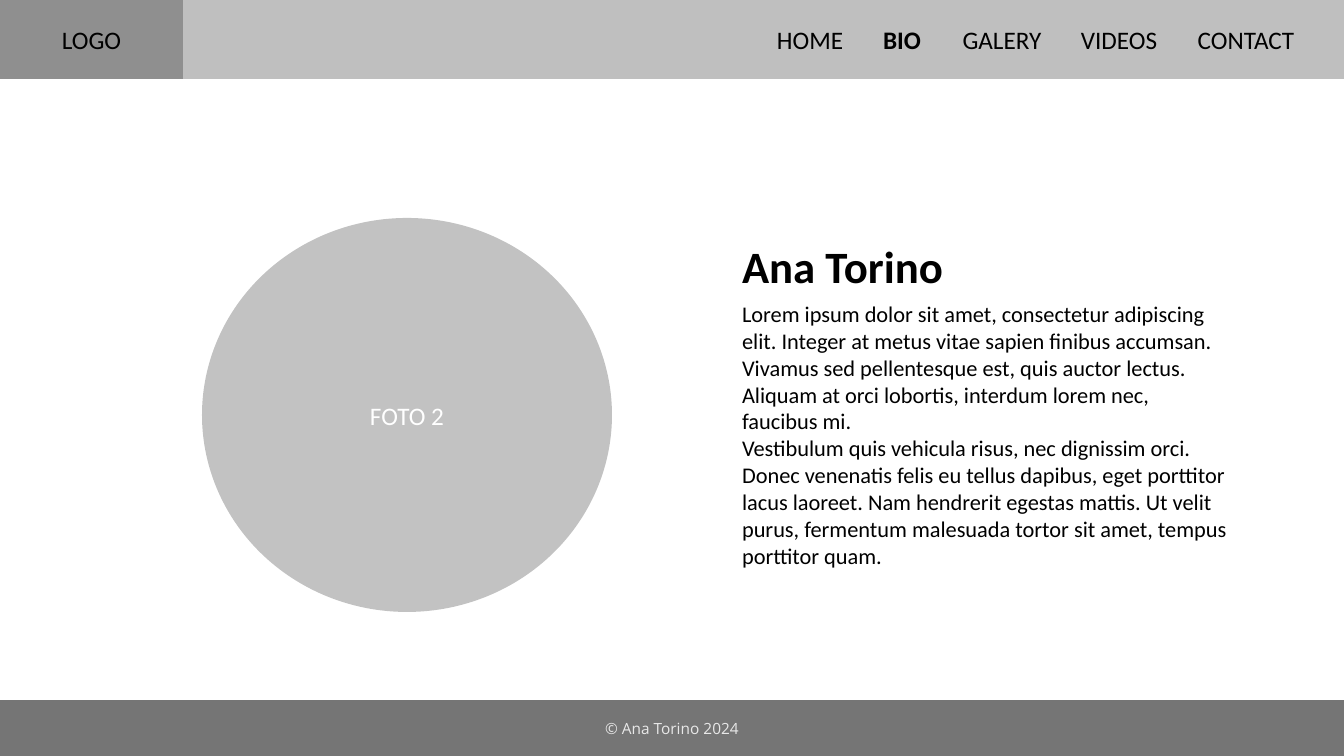
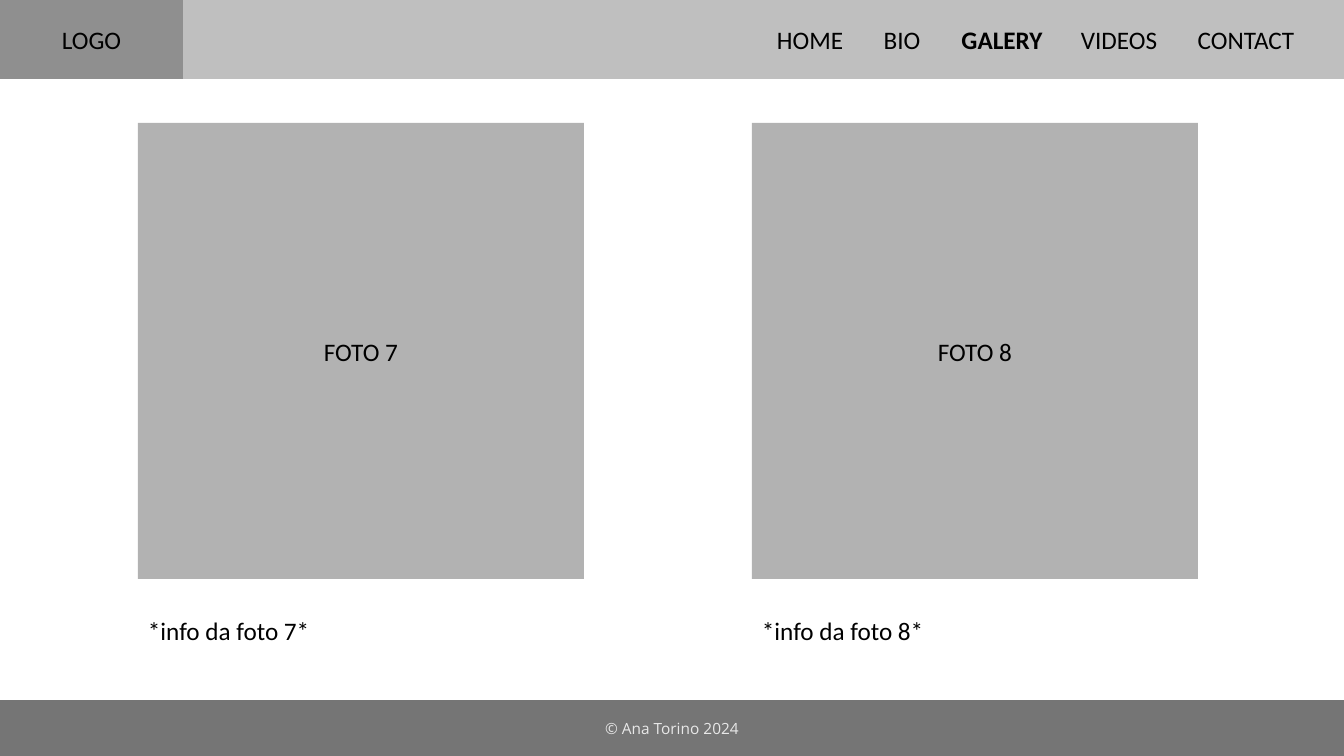
from lxml.etree import SubElement
from pptx import Presentation
from pptx.dml.color import RGBColor
from pptx.enum.shapes import MSO_SHAPE
from pptx.enum.text import MSO_ANCHOR, MSO_AUTO_SIZE, PP_ALIGN
from pptx.oxml.ns import qn
from pptx.util import Emu, Pt

SCALE = 914400 / 100.8
PAGE_WIDTH, PAGE_HEIGHT = 1344, 756
HEADER_HEIGHT, FOOTER_HEIGHT = 79, 56
LOGO_WIDTH = 183
COLORS = {"black": "000000", "white": "FFFFFF", "pale": "E8E8E8"}
MENU_CENTERS = {"HOME": 810, "BIO": 902, "GALERY": 1002, "VIDEOS": 1119, "CONTACT": 1246}
BIO_TEXT = (
    "Lorem ipsum dolor sit amet, consectetur adipiscing elit. Integer at metus vitae "
    "sapien finibus accumsan. Vivamus sed pellentesque est, quis auctor lectus. Aliquam "
    "at orci lobortis, interdum lorem nec, faucibus mi.\n"
    "Vestibulum quis vehicula risus, nec dignissim orci. Donec venenatis felis eu tellus "
    "dapibus, eget porttitor lacus laoreet. Nam hendrerit egestas mattis. Ut velit purus, "
    "fermentum malesuada tortor sit amet, tempus porttitor quam."
)


def px(length):
    return Emu(round(length * SCALE))


def write_text(shape, text, size=18, color="black", font="Calibri", strong="",
               align=PP_ALIGN.LEFT, anchor=MSO_ANCHOR.TOP, wrap=True):
    frame = shape.text_frame
    frame.word_wrap = wrap
    frame.auto_size = MSO_AUTO_SIZE.NONE
    frame.vertical_anchor = anchor
    for index, line in enumerate(text.split("\n")):
        para = frame.add_paragraph() if index else frame.paragraphs[0]
        para.alignment = align
        para.space_before = Pt(0)
        parts = line.partition(strong) if strong else (line,)
        for part in filter(None, parts):
            span = para.add_run()
            span.text = part
            span.font.name = font
            span.font.size = Pt(size)
            span.font.bold = part == strong
            span.font.color.rgb = RGBColor.from_string(COLORS[color])


def place(shape, box):
    shape.left, shape.top, shape.width, shape.height = map(px, box)
    return shape


def add_panel(page, box, opacity, kind=MSO_SHAPE.RECTANGLE):
    panel = page.shapes.add_shape(kind, *map(px, box))
    panel.shadow.inherit = False
    panel.line.fill.background()
    panel.fill.solid()
    panel.fill.fore_color.rgb = RGBColor.from_string(COLORS["black"])
    color = panel.fill._xPr.find(".//" + qn("a:srgbClr"))
    SubElement(color, qn("a:alpha"), val=str(opacity * 1000))
    return panel


def add_label_panel(page, box, opacity, text, kind=MSO_SHAPE.RECTANGLE, **style):
    panel = add_panel(page, box, opacity, kind)
    write_text(panel, text, align=PP_ALIGN.CENTER, anchor=MSO_ANCHOR.MIDDLE, **style)


def add_header(page, box, active):
    left, top, width, height = box
    band = add_panel(page, box, 25)
    band.text_frame.margin_left = band.text_frame.margin_right = 0
    menu = "".join("\t" + name for name in MENU_CENTERS)
    write_text(band, menu, strong=active, anchor=MSO_ANCHOR.MIDDLE)
    properties = band.text_frame.paragraphs[0]._p.get_or_add_pPr()
    tabs = SubElement(properties, qn("a:tabLst"))
    for center in MENU_CENTERS.values():
        SubElement(tabs, qn("a:tab"), pos=str(px(center)), algn="ctr")
    add_label_panel(page, (left, top, LOGO_WIDTH, height), 25, "LOGO")


def add_frame(page, active):
    add_header(page, (0, 0, PAGE_WIDTH, HEADER_HEIGHT), active)
    footer = (0, PAGE_HEIGHT - FOOTER_HEIGHT, PAGE_WIDTH, FOOTER_HEIGHT)
    add_label_panel(page, footer, 54, "© Ana Torino 2024",
                    size=11, color="pale", font="Open Sans")


def fill_biography(page, box):
    left, top, width, height = box
    title_height = 61
    title = place(page.shapes.title, (left, top, 222, 65))
    write_text(title, "Ana Torino", size=32, strong="Ana Torino", wrap=False)
    body = place(page.placeholders[1],
                 (left, top + title_height, width, height - title_height))
    write_text(body, BIO_TEXT, size=16)
    for para in body.text_frame.paragraphs:
        properties = para._p.get_or_add_pPr()
        properties.set("marL", "0")
        properties.set("indent", "0")
        SubElement(properties, qn("a:buNone"))


def add_photo_card(page, box, number):
    left, top, width, height = box
    caption_height = 40
    add_label_panel(page, (left, top, width, 456), 30, f"FOTO {number}")
    caption = page.shapes.add_textbox(
        *map(px, (left, top + height - caption_height, 243, caption_height)))
    write_text(caption, f"*info da foto {number}*")


def build_bio_page(deck):
    page = deck.slides.add_slide(deck.slide_layouts[1])
    add_frame(page, "BIO")
    add_label_panel(page, (202, 218, 410, 394), 24, "FOTO 2",
                    kind=MSO_SHAPE.OVAL, color="white")
    fill_biography(page, (732, 234, 507, 342))


def build_gallery_page(deck):
    page = deck.slides.add_slide(deck.slide_layouts[6])
    add_frame(page, "GALERY")
    for column, number in enumerate((7, 8)):
        add_photo_card(page, (138 + column * 614, 123, 446, 527), number)


def main():
    deck = Presentation()
    deck.slide_width, deck.slide_height = px(PAGE_WIDTH), px(PAGE_HEIGHT)
    build_bio_page(deck)
    build_gallery_page(deck)
    deck.save("out.pptx")


if __name__ == "__main__":
    main()
